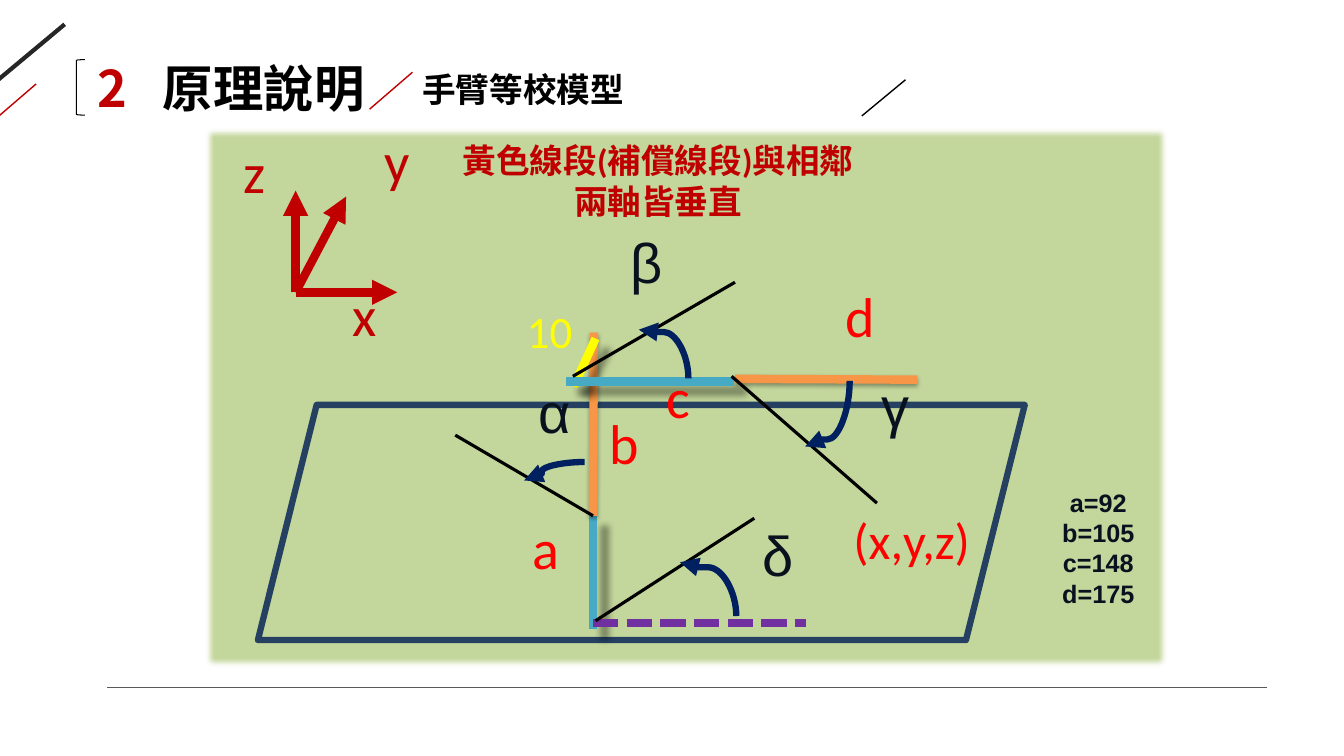
"""Build the arm model slide: a panel with axes, arm links, angles and labels."""
from lxml.etree import SubElement as Sub
from pptx import Presentation
from pptx.dml.color import RGBColor as RGB
from pptx.enum.dml import MSO_LINE as Dash
from pptx.enum.shapes import MSO_CONNECTOR as Link, MSO_SHAPE as Form
from pptx.enum.text import PP_ALIGN as Align
from pptx.oxml.ns import qn
from pptx.util import Inches, Pt

HUES = {
    "ink": "000000", "dark": "262626", "gray": "595959", "wine": "C00000",
    "red": "FF0000", "gold": "FFFF00", "teal": "46AAC5", "sun": "F79646",
    "plum": "7030A0", "navy": "002060", "edge": "254061", "leaf": "C3D69B",
    "text": "08121F",
}
CJK = "Noto Sans CJK SC"
HARD = (40, 5, 11, 40)
SOFT = (35, 3.1, 1.8, 90)

deck = Presentation()
deck.slide_width, deck.slide_height = Inches(13.33), Inches(7.5)
col, row = deck.slide_width / 160, deck.slide_height / 90
slide = deck.slides.add_slide(deck.slide_layouts[6])
shapes = slide.shapes


def draw(ends, hue, size, tip=False, shade=None, kind=Link.STRAIGHT):
    x1, y1, x2, y2 = ends
    line = shapes.add_connector(kind, int(x1 * col), int(y1 * row),
                                int(x2 * col), int(y2 * row))
    line.line.color.rgb = RGB.from_string(HUES[hue])
    line.line.width = Pt(size)
    props = line._element.spPr
    if tip:
        Sub(props.find(qn("a:ln")), qn("a:tailEnd"), type="triangle")
    glow = Sub(props, qn("a:effectLst"))
    if shade:
        alpha, blur, dist, turn = shade
        cast = Sub(glow, qn("a:outerShdw"), blurRad=str(Pt(blur)),
                   dist=str(Pt(dist)), dir=str(turn * 60000), rotWithShape="0")
        tone = Sub(cast, qn("a:srgbClr"), val=HUES["ink"])
        Sub(tone, qn("a:alpha"), val=str(alpha * 1000))
    return line


def write(box, paras, size, face, bold=False, align=Align.CENTER):
    x, y, w, h = box
    area = shapes.add_textbox(int(x * col), int(y * row), int(w * col), int(h * row))
    frame = area.text_frame
    frame.word_wrap = True
    for i, runs in enumerate(paras):
        para = frame.add_paragraph() if i else frame.paragraphs[0]
        para.alignment = align
        for words, hue in runs:
            run = para.add_run()
            run.text = words
            run.font.size, run.font.bold, run.font.name = Pt(size), bold, face
            run.font.color.rgb = RGB.from_string(HUES[hue])
            Sub(run._r.rPr, qn("a:ea"), typeface=CJK)
    return frame


for ends, hue, size in [
    ((7.7, 2.9, -2.5, 11.4), "dark", 3),
    ((4.3, 10, -0.7, 14.3), "wine", 1),
    ((12.8, 81.8, 150.8, 81.8), "gray", 0.75),
    ((49.1, 8.6, 44, 13), "wine", 1),
    ((107.8, 9.5, 102.6, 13.8), "ink", 1),
]:
    draw(ends, hue, size)

for form, (x, y, w, h), fill, edge, size in [
    (Form.LEFT_BRACKET, (9.1, 7.1, 1, 6.6), None, "ink", 0.75),
    (Form.RECTANGLE, (24.2, 15.1, 115, 64.6), "leaf", None, 0),
    (Form.PARALLELOGRAM, (30.7, 48.2, 91.3, 28), None, "edge", 4.5),
]:
    item = shapes.add_shape(form, int(x * col), int(y * row), int(w * col), int(h * row))
    item.shadow.inherit = False
    if fill:
        item.fill.solid()
        item.fill.fore_color.rgb = RGB.from_string(HUES[fill])
        item.line.fill.background()
        Sub(item._element.spPr.find(qn("a:effectLst")), qn("a:softEdge"), rad=str(Pt(5)))
    else:
        item.fill.background()
        item.line.color.rgb = RGB.from_string(HUES[edge])
        item.line.width = Pt(size)
        Sub(item._element.spPr.find(qn("a:ln")), qn("a:round"))

title = write((10.4, 6.2, 35.6, 8.5), [[("2\t", "wine"), ("原理說明", "ink")]],
              36, CJK, True, Align.LEFT)
tabs = Sub(title.paragraphs[0]._p.get_or_add_pPr(), qn("a:tabLst"))
Sub(tabs, qn("a:tab"), pos=str(int(7.8 * col)), algn="l")
write((49.1, 7.6, 61.4, 6), [[("手臂等校模型", "ink")]], 24, CJK, True, Align.LEFT)

for ends, hue, shade in [
    ((70.6, 61.4, 70.6, 74.9), "teal", HARD),
    ((70.7, 39.6, 70.6, 61.4), "sun", SOFT),
    ((109.2, 45.2, 87.5, 45.1), "sun", SOFT),
    ((68.3, 46, 70.9, 40.3), "gold", HARD),
    ((87.4, 45.4, 67.4, 45.4), "teal", HARD),
]:
    draw(ends, hue, 6, shade=shade)
base = draw((70.6, 74.2, 95.9, 74.2), "plum", 6)
base.line.dash_style = Dash.SQUARE_DOT

for end in [(35.2, 22.7), (41.2, 23.4), (47.3, 34.8)]:
    draw((35.2, 34.8, *end), "wine", 6, tip=True)

for ends in [(70.9, 73.9, 89.8, 61.7), (70.6, 61.4, 54.2, 51.8),
             (68.2, 44.8, 87.5, 33.6), (87.1, 44.8, 104.4, 59.9)]:
    draw(ends, "ink", 2.25)

for ends, turn, bend in [
    ((81.1, 73.5, 87.5, 66.8), 270, 90800),
    ((69.6, 55, 62.4, 57.2), 0, 70800),
    ((76.1, 45.1, 81.9, 39.2), 270, 95300),
    ((94.6, 46.6, 102.4, 51.9), 90, 89300),
]:
    arc = draw(ends, "navy", 4.5, tip=True, kind=Link.CURVE)
    props = arc._element.spPr
    props.find(qn("a:xfrm")).set("rot", str(turn * 60000))
    geom = props.find(qn("a:prstGeom"))
    bends = geom.find(qn("a:avLst"))
    if bends is None:
        bends = Sub(geom, qn("a:avLst"))
    Sub(bends, qn("a:gd"), name="adj1", fmla=f"val {bend}")

for words, x, y, w, size, hue, face in [
    ("a", 59.9, 60.6, 10.2, 40, "red", "Calibri"),
    ("b", 70.6, 48.1, 7.4, 40, "red", "Calibri"),
    ("c", 76.2, 42.6, 9.2, 40, "red", "Calibri"),
    ("d", 97, 32.9, 10.8, 40, "red", "Calibri"),
    ("x", 37.3, 32.8, 12.1, 40, "wine", "Calibri"),
    ("z", 25.3, 15.8, 10, 40, "wine", "Calibri"),
    ("y", 41.2, 14.5, 12.1, 40, "wine", "Calibri"),
    ("10", 57.7, 35.6, 15.5, 32, "gold", "Calibri"),
    ("(x,y,z)", 96, 60, 25.1, 36, "red", "Calibri"),
    ("δ", 87.2, 61.4, 10.8, 40, "text", "Arial"),
    ("α", 60.6, 44.4, 10.8, 40, "text", "Arial"),
    ("β", 71.6, 26.5, 10.8, 40, "text", "Arial"),
    ("γ", 101.2, 43.6, 10.8, 40, "text", "Arial"),
]:
    write((x, y, w, 9.2), [[(words, hue)]], size, face)

write((53.4, 16.1, 49.9, 10.9), [[("黃色線段(補償線段)與相鄰兩軸皆垂直", "wine")]],
      24, "Calibri", True)
sizes = [("a", 92), ("b", 105), ("c", 148), ("d", 175)]
write((115.7, 57.4, 30.1, 15.7), [[(f"{part}={size}", "text")] for part, size in sizes],
      18, "Arial", True)

deck.save("out.pptx")
